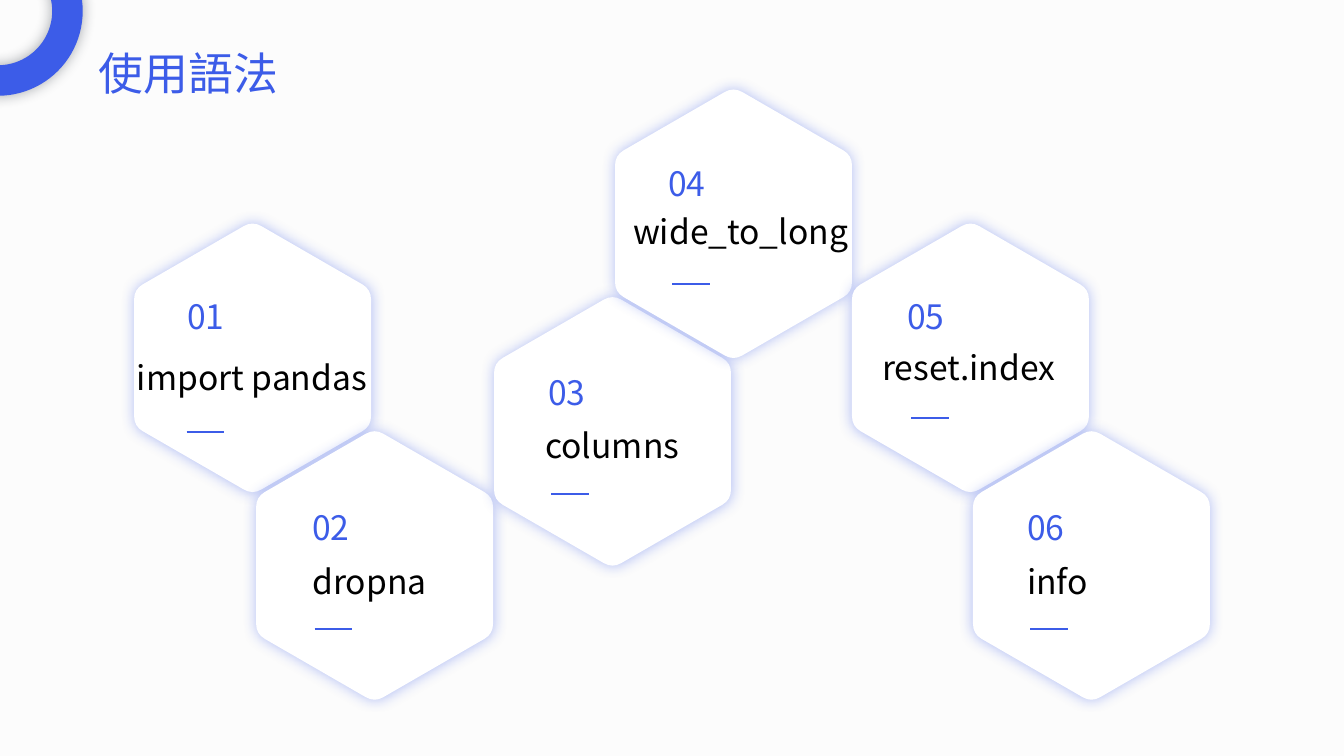
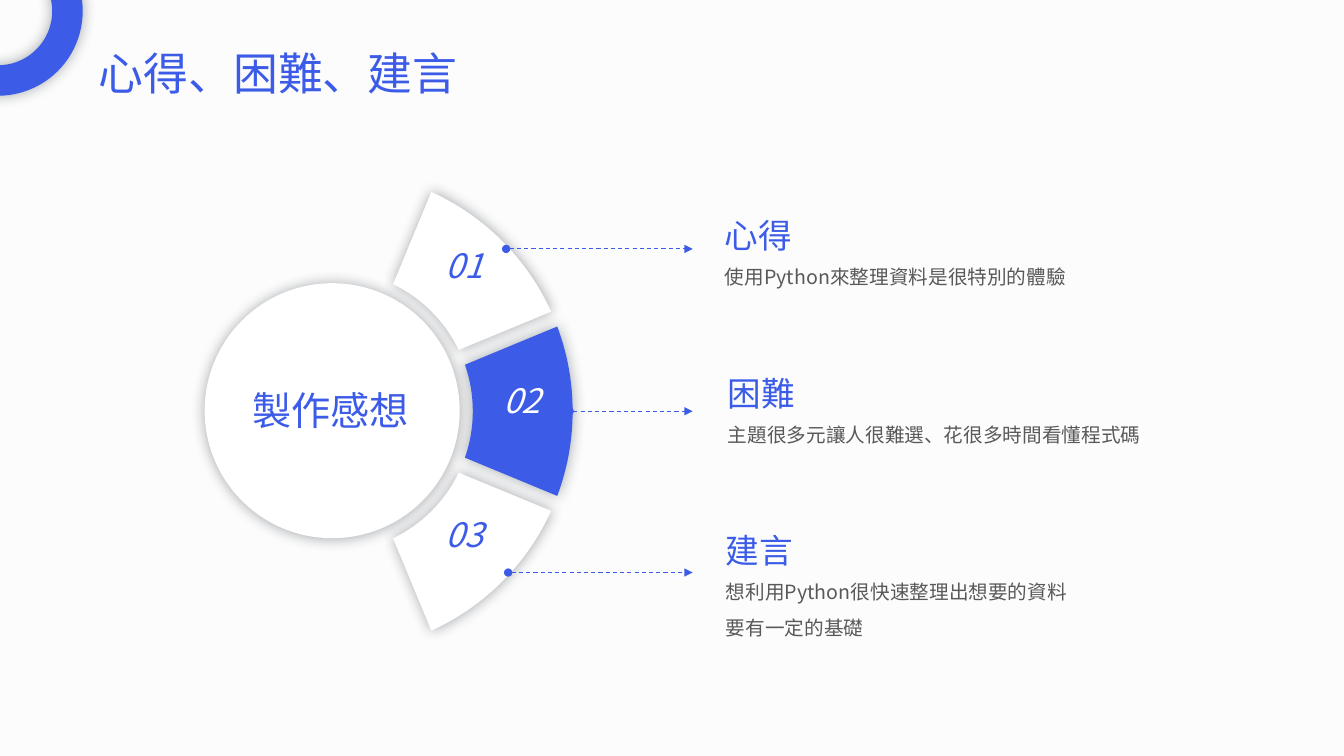
from math import asin, cos, degrees, radians, sin, sqrt, tan

from lxml import etree
from pptx import Presentation
from pptx.dml.color import RGBColor
from pptx.enum.dml import MSO_LINE
from pptx.enum.shapes import MSO_CONNECTOR, MSO_SHAPE
from pptx.enum.text import MSO_ANCHOR, MSO_AUTO_SIZE, PP_ALIGN
from pptx.oxml.ns import qn
from pptx.util import Inches, Pt

FONT = "Noto Sans CJK SC"
BLUE, WHITE, BLACK = "3C5CE8", "FFFFFF", "000000"
PAPER, GREY, SHADE = "FCFCFC", "595959", "222A35"
BOX_INSETS, WIDE_INSETS, NO_INSETS = (0.1, 0.05), (0.27, 0.13), (0, 0)

# Hexagon left/top, number left/top, name, name left/top/width, rule left/top
STEPS = [
    ((1.33, 2.22), (1.76, 2.89), "import pandas", (1.26, 3.49, 3.24), (1.85, 4.29)),
    ((2.54, 4.28), (3, 4.98), "dropna", (3, 5.52, 5.95), (3.12, 6.24)),
    ((4.9, 2.95), (5.34, 3.64), "columns", (5.31, 4.17, 1.55), (5.47, 4.9)),
    ((6.1, 0.89), (6.53, 1.57), "wide_to_long", (6.18, 2.04, 2.35), (6.67, 2.82)),
    ((8.45, 2.22), (8.9, 2.89), "reset.index", (8.65, 3.39, 2.01), (9.04, 4.15)),
    ((9.65, 4.28), (10.09, 4.98), "info", (10.09, 5.52, 1.55), (10.22, 6.24)),
]
HEX_WIDTH, HEX_HEIGHT, CORNER = 2.35, 2.66, 0.1
HEX_RADIUS = HEX_WIDTH / sqrt(3)
RULE_LENGTH = 0.37

# Heading, heading left/top, lines, lines top/width, number left/top,
# arrow start, fill, number colour
THOUGHTS = [
    ("心得", (6.92, 2), ["使用Python來整理資料是很特別的體驗"],
     (2.38, 4.35), (4.22, 2.43), (5.02, 2.47), WHITE, BLUE),
    ("困難", (6.95, 3.56), ["主題很多元讓人很難選、花很多時間看懂程式碼"],
     (3.95, 4.67), (4.79, 3.77), (5.65, 4.08), BLUE, WHITE),
    ("建言", (6.93, 5.12), ["想利用Python很快速整理出想要的資料", "要有一定的基礎"],
     (5.51, 4.81), (4.22, 5.1), (5.04, 5.68), WHITE, BLUE),
]
HUB, HUB_BOX = (3.29, 4.08), (2.03, 2.81, 2.53, 2.53)
INNER, OUTER, HALF_GAP = 1.4, 2.39, 0.08
SECTOR_ANGLE, ARROW_END = 45, 6.87


def rgb(color):
    return RGBColor.from_string(color)


def set_effects(shape, shadow=None):
    """Replace inherited effects by a soft glow-like shadow, or by none."""
    effects = etree.SubElement(shape._element.spPr, qn("a:effectLst"))
    if shadow:
        outer = etree.SubElement(effects, qn("a:outerShdw"), blurRad=str(Pt(10)),
                                 dist="0", algn="ctr", rotWithShape="0")
        color = etree.SubElement(outer, qn("a:srgbClr"), val=shadow)
        etree.SubElement(color, qn("a:alpha"), val="40000")


def paint(shape, fill, shadow):
    shape.fill.solid()
    shape.fill.fore_color.rgb = rgb(fill)
    shape.line.fill.background()
    set_effects(shape, shadow)


def write(shape, lines, size, color, insets=BOX_INSETS, align=PP_ALIGN.LEFT,
          anchor=MSO_ANCHOR.TOP, italic=None, spacing=None, grow=True):
    tf = shape.text_frame
    tf.word_wrap = True
    tf.auto_size = MSO_AUTO_SIZE.SHAPE_TO_FIT_TEXT if grow else MSO_AUTO_SIZE.NONE
    tf.vertical_anchor = anchor
    tf.margin_left = tf.margin_right = Inches(insets[0])
    tf.margin_top = tf.margin_bottom = Inches(insets[1])
    tf.text = "\n".join(lines)
    for p in tf.paragraphs:
        p.alignment = align
        p.line_spacing = spacing
        p.font.size = Pt(size)
        p.font.italic = italic
        p.font.color.rgb = rgb(color)
        p.font.name = FONT
        latin = p.font._element.find(qn("a:latin"))
        latin.addnext(latin.makeelement(qn("a:ea"), {"typeface": FONT}))


def add_text(s, box, lines, size, color, **style):
    shape = s.shapes.add_textbox(*map(Inches, box))
    write(shape, lines, size, color, **style)


def add_preset(s, kind, box, fill, shadow=SHADE):
    shape = s.shapes.add_shape(kind, *map(Inches, box))
    paint(shape, fill, shadow)
    return shape


def add_outline(s, curves, fill, shadow):
    """Join cubic curves, each four points, by straight lines into one shape."""
    first, *rest = [(Inches(x), Inches(y)) for curve in curves for x, y in curve]
    builder = s.shapes.build_freeform(*first)
    builder.add_line_segments(rest, close=True)
    shape = builder.convert_to_shape()
    segments = list(shape._element.iter(qn("a:lnTo")))
    for i in range(0, len(segments), 4):
        curve = segments[i].makeelement(qn("a:cubicBezTo"), {})
        segments[i].addprevious(curve)
        for segment in segments[i:i + 3]:
            curve.append(segment[0])
            segment.getparent().remove(segment)
    paint(shape, fill, shadow)


def add_line(s, start, end_x, width):
    """Draw a horizontal blue line from start to end_x."""
    x, y = start
    line = s.shapes.add_connector(MSO_CONNECTOR.STRAIGHT, Inches(x), Inches(y),
                                  Inches(end_x), Inches(y))
    line.line.color.rgb = rgb(BLUE)
    line.line.width = Pt(width)
    set_effects(line)
    return line


def add_arrow(s, start, end_x):
    line = add_line(s, start, end_x, 0.75).line
    line.dash_style = MSO_LINE.DASH
    ln = line._get_or_add_ln()
    etree.SubElement(ln, qn("a:headEnd"), type="oval")
    etree.SubElement(ln, qn("a:tailEnd"), type="triangle")


def polar(center, radius, angle):
    return (center[0] + radius * cos(radians(angle)),
            center[1] + radius * sin(radians(angle)))


def between(start, end, share):
    return tuple(a + share * (b - a) for a, b in zip(start, end))


def rounded_hexagon(left, top):
    """Corner curves of a regular hexagon."""
    center = (left + HEX_WIDTH / 2, top + HEX_HEIGHT / 2)
    corners = [polar(center, HEX_RADIUS, 60 * i - 90) for i in range(6)]
    cut = CORNER / HEX_RADIUS
    curves = []
    for i, corner in enumerate(corners):
        start = between(corner, corners[i - 1], cut)
        end = between(corner, corners[(i + 1) % 6], cut)
        curves.append([start, between(start, corner, 2 / 3),
                       between(end, corner, 2 / 3), end])
    return curves


def arc(radius, middle):
    """Arc curve that stays half a gap away from the sector's edges."""
    half = SECTOR_ANGLE / 2 - degrees(asin(HALF_GAP / radius))
    bend = 4 / 3 * tan(radians(half / 2))
    reach, turn = radius * sqrt(1 + bend ** 2), degrees(2 * half and bend)
    turn = degrees(asin(bend / sqrt(1 + bend ** 2)))
    return [polar(HUB, radius, middle - half), polar(HUB, reach, middle - half + turn),
            polar(HUB, reach, middle + half - turn), polar(HUB, radius, middle + half)]


def add_titled_slide(prs, title):
    s = prs.slides.add_slide(prs.slide_layouts[5])
    ring = add_preset(s, MSO_SHAPE.DONUT, (-0.86, -0.73, 1.68, 1.68), BLUE)
    ring.adjustments[0] = 0.18
    shape = s.shapes.title
    shape.left, shape.top, shape.width, shape.height = map(Inches, (0.88, 0.4, 4.62, 0.64))
    write(shape, [title], 32, BLUE)
    return s


def add_syntax_slide(prs):
    s = add_titled_slide(prs, "使用語法")
    for i, (hexagon, number, name, (x, y, width), rule) in enumerate(STEPS, 1):
        add_outline(s, rounded_hexagon(*hexagon), WHITE, BLUE)
        add_text(s, (x, y, width, 0.5), [name], 24, BLACK)
        add_text(s, (*number, 0.6, 0.5), [f"{i:02}"], 24, BLUE)
        add_line(s, rule, rule[0] + RULE_LENGTH, 1.5)


def add_thoughts_slide(prs):
    s = add_titled_slide(prs, "心得、困難、建言")
    add_preset(s, MSO_SHAPE.OVAL, HUB_BOX, WHITE)
    add_text(s, (2.03, 3.7, 2.5, 0.74), ["製作感想"], 28, BLUE, insets=WIDE_INSETS,
             align=PP_ALIGN.CENTER, anchor=MSO_ANCHOR.MIDDLE)
    for i, (heading, (x, y), lines, (lines_y, width), number, start, fill,
            color) in enumerate(THOUGHTS):
        middle = SECTOR_ANGLE * (i - 1)
        add_outline(s, [arc(OUTER, middle), arc(INNER, middle)[::-1]], fill, SHADE)
        add_arrow(s, start, ARROW_END)
        add_text(s, (*number, 0.77, 0.4), [f"{i + 1:02}"], 24, color,
                 insets=NO_INSETS, align=PP_ALIGN.CENTER, italic=True)
        add_text(s, (x, y, 2.69, 0.67), [heading], 24, BLUE,
                 insets=WIDE_INSETS, anchor=MSO_ANCHOR.MIDDLE)
        add_text(s, (x, lines_y, width, 0.67), lines, 14, GREY,
                 insets=WIDE_INSETS, spacing=1.5, grow=False)


def main():
    prs = Presentation()
    prs.slide_width, prs.slide_height = Inches(13.33), Inches(7.5)
    background = prs.slide_master.background.fill
    background.solid()
    background.fore_color.rgb = rgb(PAPER)
    add_syntax_slide(prs)
    add_thoughts_slide(prs)
    prs.save("out.pptx")


if __name__ == "__main__":
    main()
